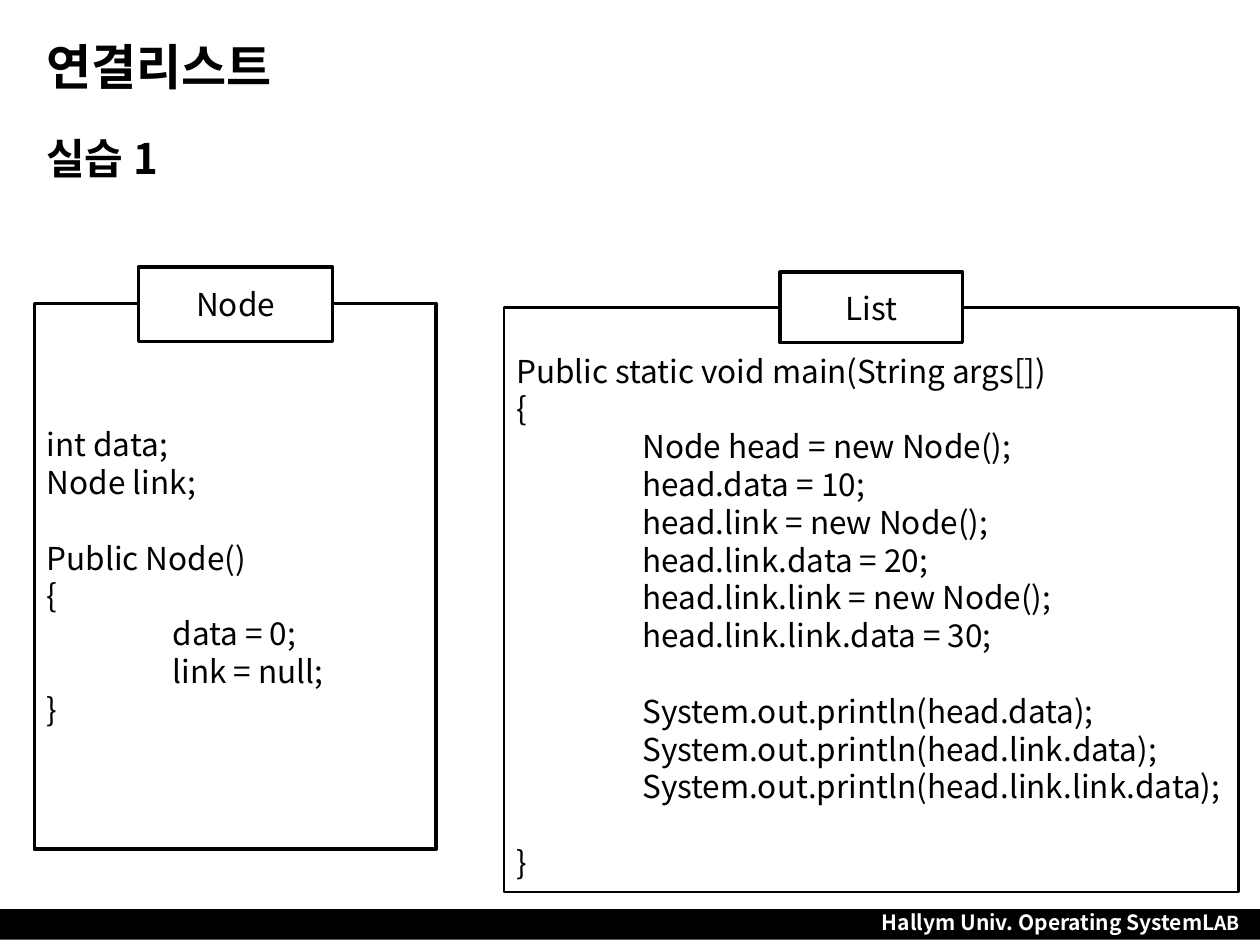
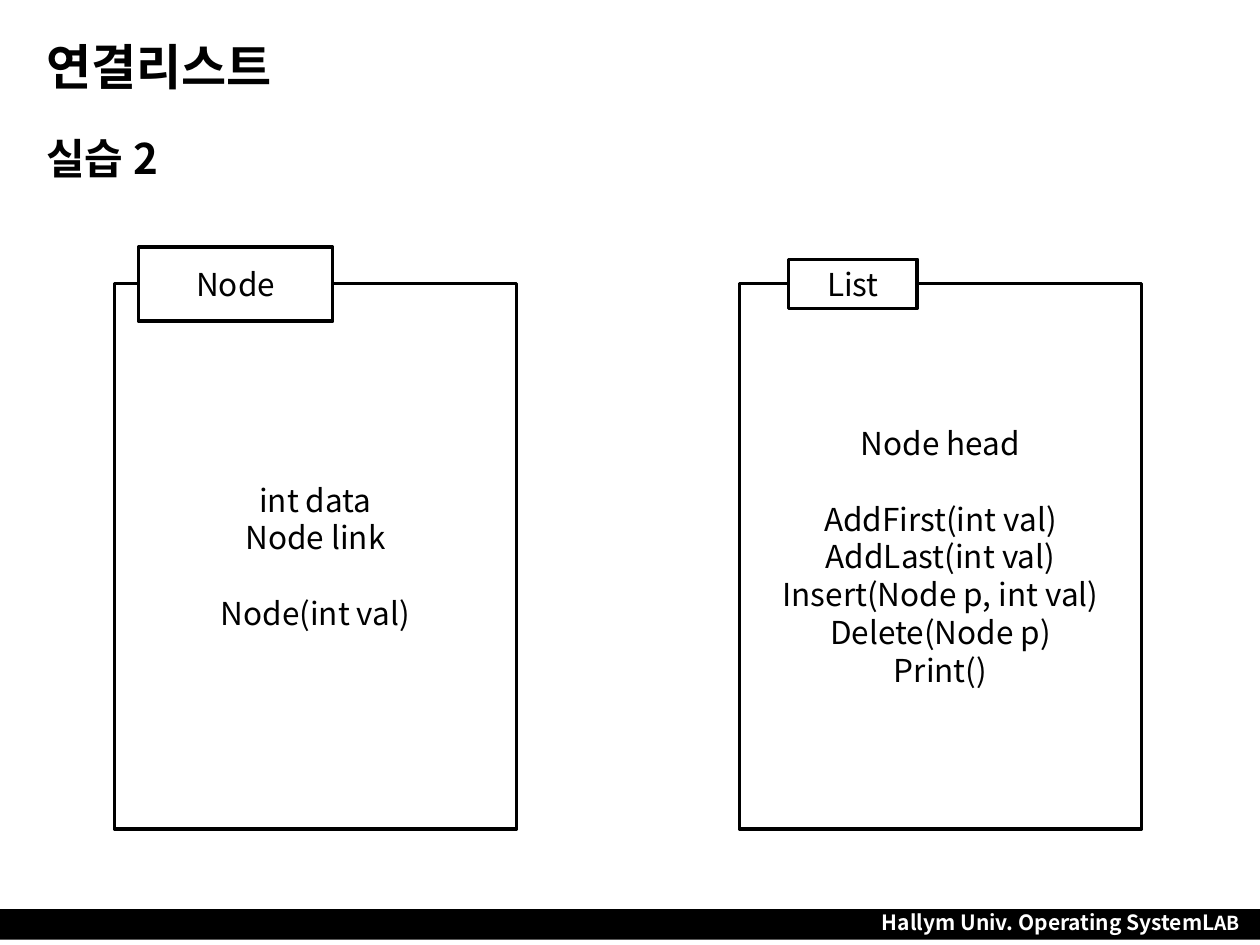
from lxml import etree
from pptx import Presentation
from pptx.dml.color import RGBColor
from pptx.enum.shapes import MSO_SHAPE
from pptx.enum.text import MSO_ANCHOR, PP_ALIGN
from pptx.oxml.ns import qn
from pptx.util import Pt

RECT = MSO_SHAPE.RECTANGLE
TOP, MIDDLE = MSO_ANCHOR.TOP, MSO_ANCHOR.MIDDLE
LEFT, CENTER, JUSTIFY = PP_ALIGN.LEFT, PP_ALIGN.CENTER, PP_ALIGN.JUSTIFY

BLACK, WHITE = "000000", "FFFFFF"
TITLE_FONT, BODY_FONT = "Montserrat", "Noto Sans CJK KR"
CODE_SIZE = 18
LINE_RATIO = 1.2
TAB_STOP = 72
TITLE_ONLY = 5

NODE_CODE = ["int data;", "Node link;", "", "Public Node()", "{",
             "\tdata = 0;", "\tlink = null;", "}"]
LIST_CODE = ["Public static void main(String args[])", "{",
             "\tNode head = new Node();", "\thead.data = 10;",
             "\thead.link = new Node();", "\thead.link.data = 20;",
             "\thead.link.link = new Node();", "\thead.link.link.data = 30;", "",
             "\tSystem.out.println(head.data);",
             "\tSystem.out.println(head.link.data);",
             "\tSystem.out.println(head.link.link.data);", "", "}"]
NODE_MEMBERS = ["int data", "Node link", "", "Node(int val)"]
LIST_MEMBERS = ["Node head", "", "AddFirst(int val)", "AddLast(int val)",
                "Insert(Node p, int val)", "Delete(Node p)", "Print()"]


def rgb(color):
    return RGBColor.from_string(color)


def style_paragraph(p, size, color=BLACK, bold=False, align=LEFT, font=BODY_FONT):
    p.alignment = align
    p.line_spacing = Pt(size * LINE_RATIO)
    p.font.name = font
    p.font.size = Pt(size)
    p.font.bold = bold
    p.font.color.rgb = rgb(color)
    default_run = p._p.get_or_add_pPr().find(qn("a:defRPr"))
    etree.SubElement(default_run, qn("a:ea"), typeface=BODY_FONT)


def add_tab_stop(p):
    tabs = etree.SubElement(p._p.get_or_add_pPr(), qn("a:tabLst"))
    etree.SubElement(tabs, qn("a:tab"), pos=str(Pt(TAB_STOP)), algn="l")


def write_lines(tf, lines, align):
    p, gap = tf.paragraphs[0], 0
    for i, line in enumerate(lines):
        if not line:
            gap += CODE_SIZE * LINE_RATIO
            continue
        if i:
            p = tf.add_paragraph()
        p.text = line
        if line.startswith("\t"):
            add_tab_stop(p)
        style_paragraph(p, CODE_SIZE, align=align)
        if gap:
            p.space_before = Pt(gap)
        gap = 0


def add_rect(slide, box, fill=WHITE, line=None):
    sp = slide.shapes.add_shape(RECT, *map(Pt, box))
    sp.shadow.inherit = False
    if fill:
        sp.fill.solid()
        sp.fill.fore_color.rgb = rgb(fill)
    else:
        sp.fill.background()
    if line:
        sp.line.color.rgb = rgb(BLACK)
        sp.line.width = Pt(line)
    else:
        sp.line.fill.background()
    return sp


def add_text_rect(slide, box, lines, align=CENTER, anchor=MIDDLE, fill=WHITE,
                  line=2, top_inset=3.6):
    tf = add_rect(slide, box, fill, line).text_frame
    tf.word_wrap = True
    tf.vertical_anchor = anchor
    tf.margin_top = Pt(top_inset)
    write_lines(tf, lines, align)


def add_class_box(slide, name, label_box, box, lines, **style):
    add_text_rect(slide, box, lines, **style)
    add_text_rect(slide, label_box, [name])


def add_footer(slide):
    add_rect(slide, (0, 519.6, 720, 17.4), fill=BLACK)
    tf = slide.shapes.add_textbox(Pt(495.4), Pt(516.2), Pt(221.8), Pt(21.6)).text_frame
    tf.word_wrap = False
    p = tf.paragraphs[0]
    for text, size in (("Hallym Univ. Operating", 12), (" ", 11),
                       ("SystemL", 12), ("AB", 11)):
        r = p.add_run()
        r.text = text
        r.font.size = Pt(size)
    style_paragraph(p, 12, WHITE, bold=True, align=CENTER)


def add_exercise_slide(prs, exercise):
    slide = prs.slides.add_slide(prs.slide_layouts[TITLE_ONLY])
    add_footer(slide)
    title = slide.shapes.title
    title.left, title.top, title.width, title.height = map(Pt, (19.4, 9.4, 680.4, 56.9))
    tf = title.text_frame
    tf.text = "연결리스트"
    tf.vertical_anchor = MIDDLE
    style_paragraph(tf.paragraphs[0], 28, bold=True, font=TITLE_FONT)
    tf = slide.shapes.add_textbox(Pt(19.4), Pt(72), Pt(316), Pt(36)).text_frame
    tf.word_wrap = True
    tf.text = exercise
    style_paragraph(tf.paragraphs[0], 24, bold=True)
    return slide


def main():
    prs = Presentation()
    prs.slide_width, prs.slide_height = Pt(720), Pt(540)

    slide = add_exercise_slide(prs, "실습 1")
    add_class_box(slide, "Node", (79.2, 152.6, 110.9, 42.5),
                  (19.6, 173.5, 229.7, 311.8), NODE_CODE, align=JUSTIFY)
    add_class_box(slide, "List", (445.7, 155.6, 104.4, 40.3),
                  (288, 175.7, 419.8, 334.1), LIST_CODE, align=JUSTIFY,
                  anchor=TOP, fill=None, line=1.5, top_inset=25.2)

    slide = add_exercise_slide(prs, "실습 2")
    add_class_box(slide, "Node", (79.2, 141.1, 110.9, 42.5),
                  (65.4, 162, 229.7, 311.8), NODE_MEMBERS)
    add_class_box(slide, "List", (450.6, 148.2, 73.6, 28.1),
                  (422.6, 162, 229.7, 311.8), LIST_MEMBERS)

    prs.save("out.pptx")


if __name__ == "__main__":
    main()
